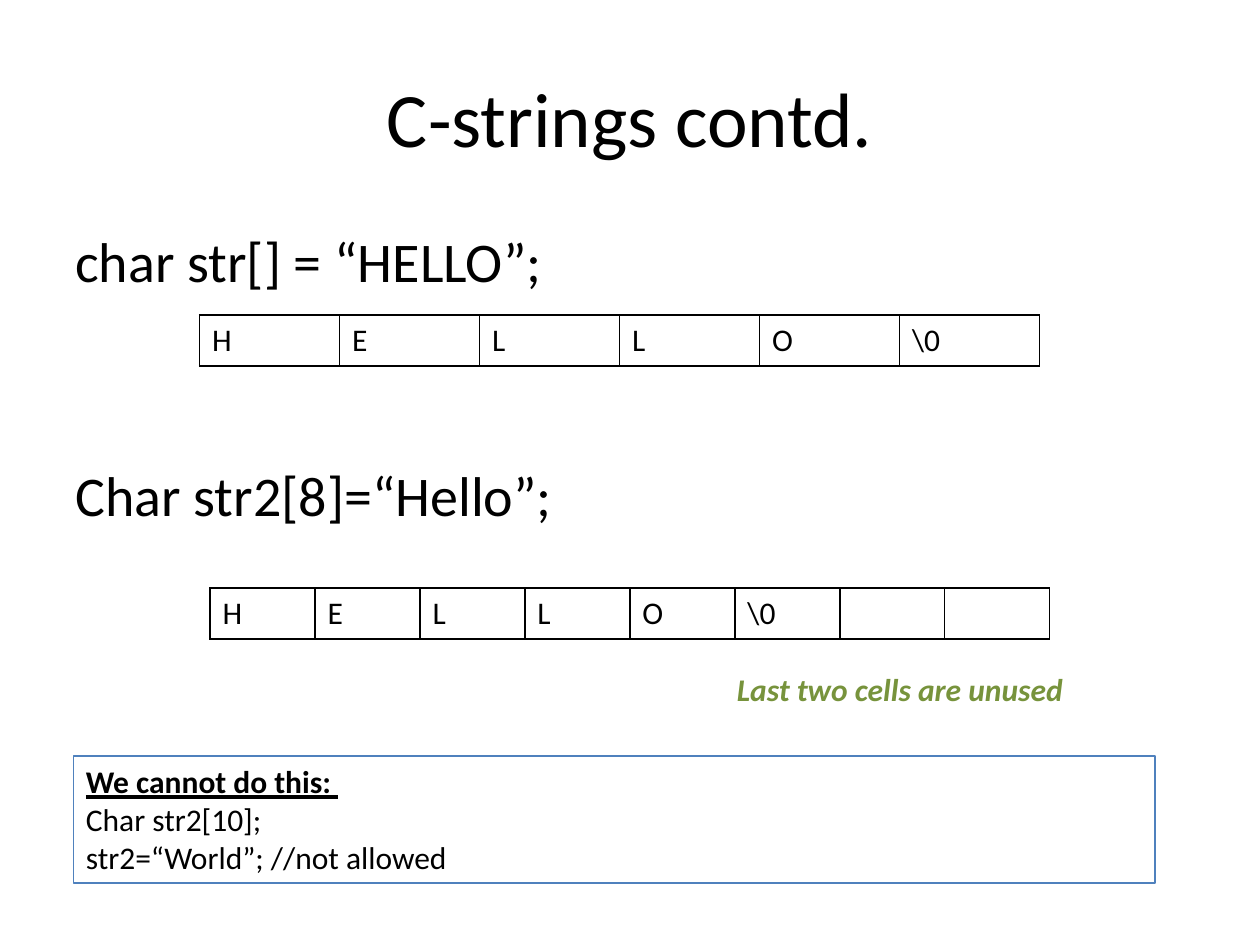
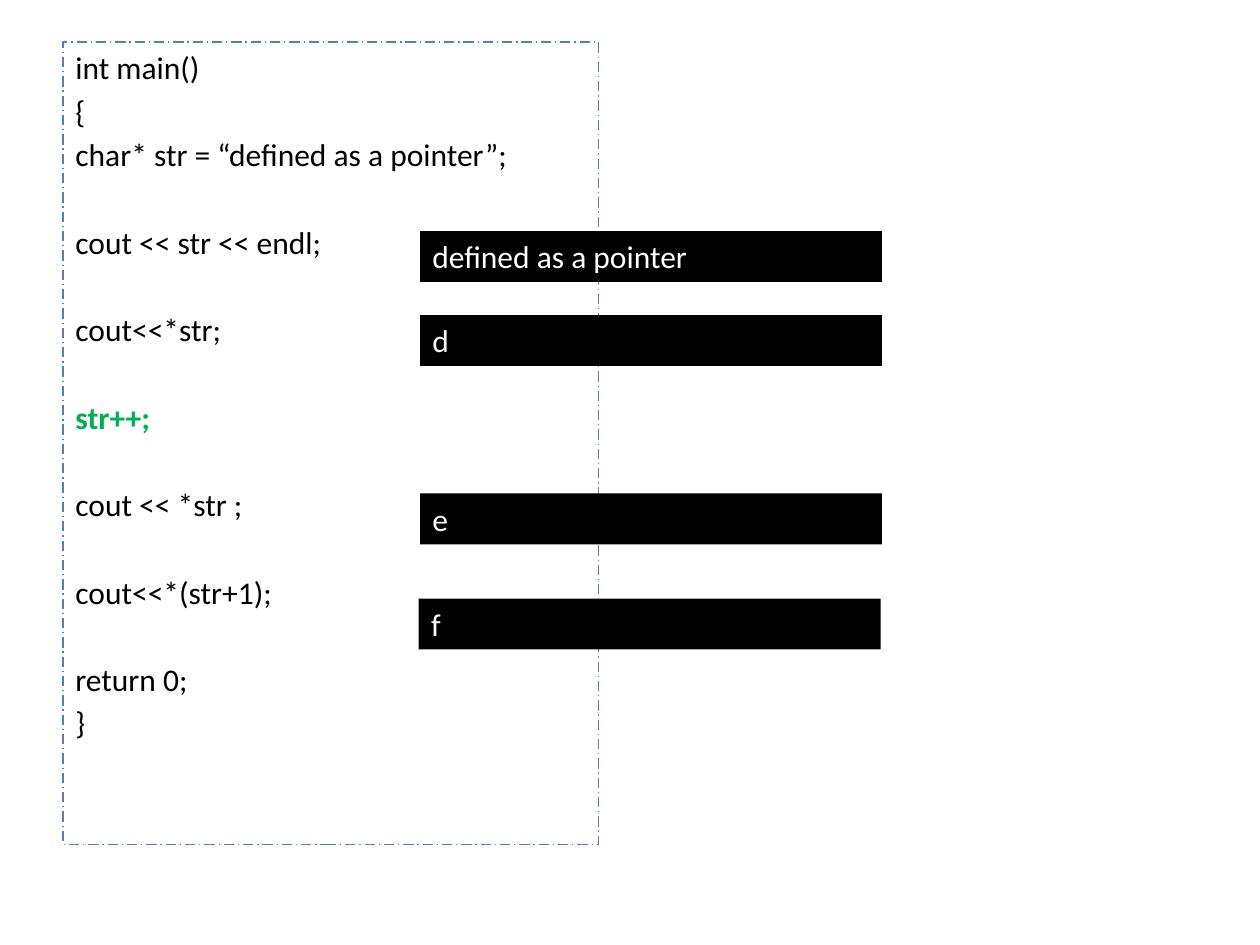
from dataclasses import dataclass

from lxml import etree
from pptx import Presentation
from pptx import util as u
from pptx.dml.color import RGBColor
from pptx.enum import dml, shapes, text
from pptx.oxml import ns

BLACK = RGBColor(0x00, 0x00, 0x00)
WHITE = RGBColor(0xFF, 0xFF, 0xFF)
BLUE = RGBColor(0x4F, 0x81, 0xBD)
OLIVE = RGBColor(0x77, 0x93, 0x3C)
GREEN = RGBColor(0x00, 0xB0, 0x50)

FONT = "Calibri"
TITLE_SIZE, BODY_SIZE, CODE_SIZE = 44, 32, 18
COLUMNS, ROWS = 120, 90
SLIDE_WIDTH, SLIDE_HEIGHT = u.Inches(10), u.Inches(7.5)
CELL_HEIGHT = 4.87
LABEL_HEIGHT = 4.85
BODY_GAP = 95.2
CODE_GAP, STATEMENT_GAP = 3.2, 28.4


@dataclass(frozen=True)
class Area:
    column: float
    row: float
    columns: float
    rows: float

    def place(self) -> tuple[int, int, int, int]:
        across, down = SLIDE_WIDTH / COLUMNS, SLIDE_HEIGHT / ROWS
        return (round(self.column * across), round(self.row * down),
                round(self.columns * across), round(self.rows * down))


@dataclass(frozen=True)
class Line:
    words: str
    gap: float = 0
    colour: RGBColor = BLACK
    bold: bool = False
    underline: bool = False


@dataclass(frozen=True)
class CharArray:
    area: Area
    characters: tuple[str, ...]


@dataclass(frozen=True)
class Output:
    words: str
    column: float
    row: float


ARRAYS = (
    CharArray(Area(19, 30, 80, CELL_HEIGHT), ("H", "E", "L", "L", "O", "\\0")),
    CharArray(Area(20, 56, 80, CELL_HEIGHT), ("H", "E", "L", "L", "O", "\\0", "", "")),
)
DECLARATIONS = (
    Line("char str[] = “HELLO”;"),
    Line("Char str2[8]=“Hello”;", BODY_GAP),
)
WARNING = (
    Line("We cannot do this: ", bold=True, underline=True),
    Line("Char str2[10];"),
    Line("str2=“World”; //not allowed"),
)
PROGRAM = (
    Line("int main()"),
    Line("{", CODE_GAP),
    Line("char* str = “defined as a pointer”;", CODE_GAP),
    Line("cout << str << endl;", STATEMENT_GAP),
    Line("cout<<*str;", STATEMENT_GAP),
    Line("str++;", STATEMENT_GAP, GREEN, bold=True),
    Line("cout << *str ;", STATEMENT_GAP),
    Line("cout<<*(str+1);", STATEMENT_GAP),
    Line("return 0;", STATEMENT_GAP),
    Line("}", CODE_GAP),
)
OUTPUTS = (
    Output("defined as a pointer", 40, 22),
    Output("d", 40, 30),
    Output("e", 40, 47),
    Output("f", 39.88, 57),
)


def write(frame, lines, *, size=CODE_SIZE, italic=False,
          align=text.PP_ALIGN.LEFT, anchor=text.MSO_ANCHOR.TOP) -> None:
    frame.word_wrap = True
    frame.vertical_anchor = anchor
    for index, line in enumerate(lines):
        para = frame.add_paragraph() if index else frame.paragraphs[0]
        para.alignment = align
        para.space_before = u.Pt(line.gap)
        span = para.add_run()
        span.text = line.words
        font = span.font
        font.name, font.size = FONT, u.Pt(size)
        font.bold, font.italic, font.underline = line.bold, italic, line.underline
        font.color.rgb = line.colour


def add_text(page, area: Area, lines, **format) -> None:
    write(page.shapes.add_textbox(*area.place()).text_frame, lines, **format)


def add_panel(page, area: Area, lines, *, fill=None, outline=None, dash=None) -> None:
    box = page.shapes.add_shape(shapes.MSO_SHAPE.RECTANGLE, *area.place())
    box.shadow.inherit = False
    if fill is None:
        box.fill.background()
    else:
        box.fill.solid()
        box.fill.fore_color.rgb = fill
    if outline is None:
        box.line.fill.background()
    else:
        box.line.color.rgb = outline
        box.line.width = u.Pt(0.75)
        if dash is not None:
            box.line.dash_style = dash
    write(box.text_frame, lines)


def add_borders(cell) -> None:
    properties = cell._tc.get_or_add_tcPr()
    for index, side in enumerate(("lnL", "lnR", "lnT", "lnB")):
        border = etree.Element(ns.qn(f"a:{side}"), w=str(u.Pt(1)))
        fill = etree.SubElement(border, ns.qn("a:solidFill"))
        etree.SubElement(fill, ns.qn("a:srgbClr"), val=str(BLACK))
        properties.insert(index, border)


def add_char_array(page, array: CharArray) -> None:
    count = len(array.characters)
    table = page.shapes.add_table(1, count, *array.area.place()).table
    table.first_row = table.horz_banding = False
    for index, character in enumerate(array.characters):
        cell = table.cell(0, index)
        cell.fill.background()
        add_borders(cell)
        if character:
            write(cell.text_frame, [Line(character)])


def build_strings_page(page) -> None:
    add_text(page, Area(6, 3.6, 108, 15), [Line("C-strings contd.")], size=TITLE_SIZE,
             align=text.PP_ALIGN.CENTER, anchor=text.MSO_ANCHOR.MIDDLE)
    add_text(page, Area(6, 21, 108, 59.4), DECLARATIONS, size=BODY_SIZE)
    for array in ARRAYS:
        add_char_array(page, array)
    add_text(page, Area(69, 63.2, 34, LABEL_HEIGHT),
             [Line("Last two cells are unused", colour=OLIVE, bold=True)], italic=True)
    add_panel(page, Area(7, 72, 103, 12.1), WARNING, outline=BLUE)


def build_pointer_page(page) -> None:
    add_panel(page, Area(6, 4, 51, 76.4), PROGRAM, outline=BLUE,
              dash=dml.MSO_LINE.LONG_DASH_DOT)
    for output in OUTPUTS:
        add_panel(page, Area(output.column, output.row, 44, LABEL_HEIGHT),
                  [Line(output.words, colour=WHITE)], fill=BLACK)


def main() -> None:
    deck = Presentation()
    deck.slide_width, deck.slide_height = SLIDE_WIDTH, SLIDE_HEIGHT
    for build in (build_strings_page, build_pointer_page):
        build(deck.slides.add_slide(deck.slide_layouts[6]))
    deck.save("out.pptx")


if __name__ == "__main__":
    main()
